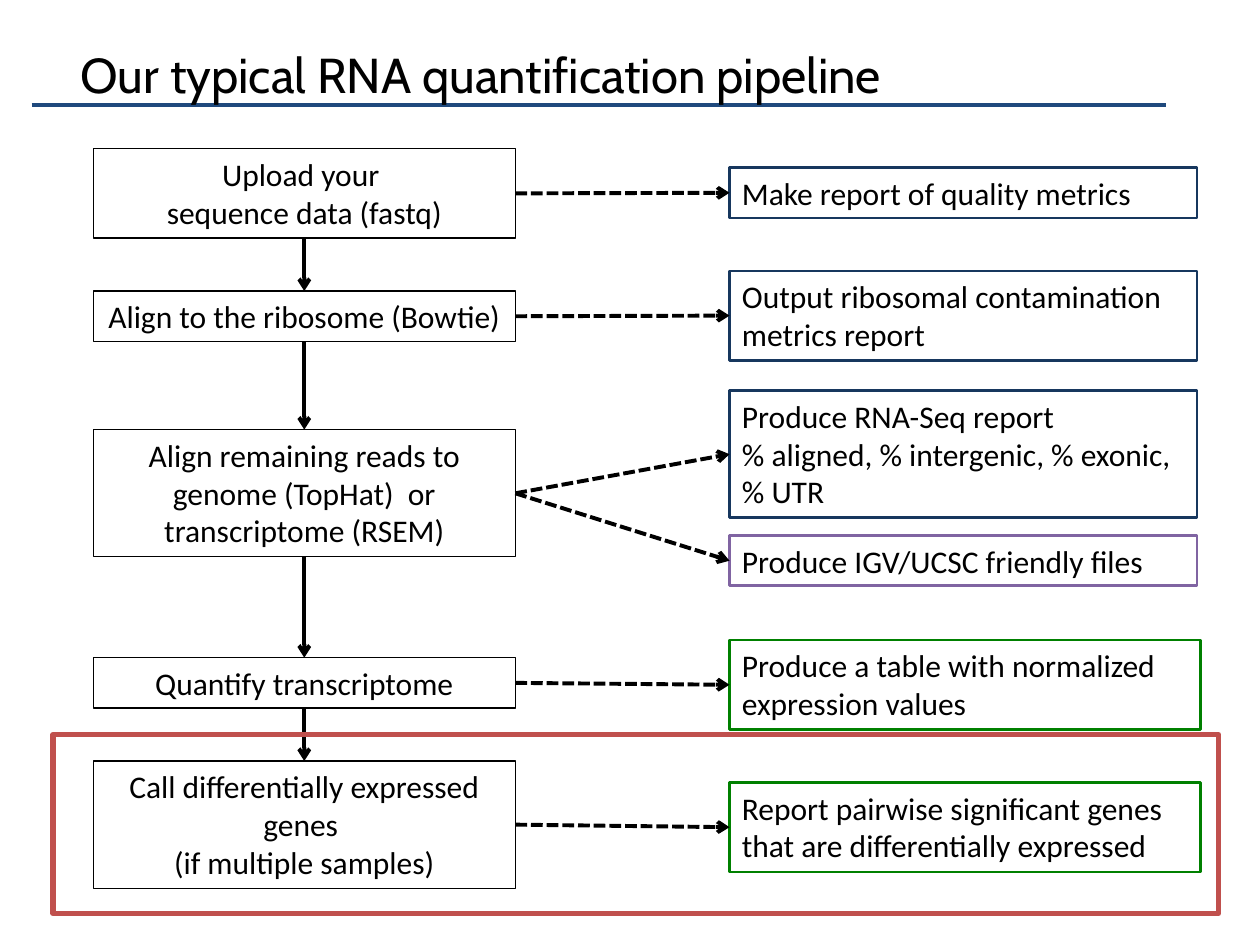
"""Build a slide that shows an RNA quantification pipeline as a flow chart."""
from lxml.etree import SubElement
from pptx import Presentation
from pptx.dml.color import RGBColor
from pptx.enum.dml import MSO_LINE
from pptx.enum.shapes import MSO_CONNECTOR, MSO_SHAPE
from pptx.enum.text import MSO_ANCHOR, MSO_AUTO_SIZE, PP_ALIGN
from pptx.oxml.ns import qn
from pptx.util import Inches, Pt

TITLE = "Our typical RNA quantification pipeline"
STEPS = [
    ("upload", 1.18, 2, "Upload your \nsequence data (fastq)"),
    ("ribosome", 2.31, 1, "Align to the ribosome (Bowtie)"),
    ("genome", 3.41, 3, "Align remaining reads to genome (TopHat)  or transcriptome (RSEM)"),
    ("quantify", 5.22, 1, "Quantify transcriptome"),
    ("call", 6.04, 3, "Call differentially expressed genes \n(if multiple samples)"),
]
OUTPUTS = [
    ("upload", 1.33, 1, "report", "Make report of quality metrics"),
    ("ribosome", 2.15, 2, "report", "Output ribosomal contamination metrics report"),
    ("genome", 3.1, 3, "report", "Produce RNA-Seq report\n% aligned, % intergenic, % exonic, % UTR"),
    ("genome", 4.25, 1, "files", "Produce IGV/UCSC friendly files"),
    ("quantify", 5.08, 2, "table", "Produce a table with normalized expression values"),
    ("call", 6.21, 2, "table", "Report pairwise significant genes that are differentially expressed"),
]
THEME = {
    "text": "000000", "rule": "1F497D", "step": "000000", "report": "17375E",
    "files": "8064A2", "table": "008000", "highlight": "C0504D", "arrow": "000000",
    "title_font": "Cabin", "title_size": 28, "body_font": "Calibri", "body_size": 18,
}
STEP_LEFT, STEP_WIDTH = 0.74, 3.35
OUTPUT_LEFT = 5.79
OUTPUT_WIDTHS = {"report": 3.71, "files": 3.71, "table": 3.74}
HEIGHTS = {1: 0.4, 2: 0.71, 3: 1.01}
TOP, LEFT, BOTTOM, RIGHT = range(4)


def color(name):
    return RGBColor.from_string(THEME[name])


def write(shape, text, kind, align=PP_ALIGN.LEFT):
    text_frame = shape.text_frame
    text_frame.text = text
    text_frame.word_wrap = True
    for paragraph in text_frame.paragraphs:
        paragraph.alignment = align
        for run in paragraph.runs:
            run.font.name = THEME[f"{kind}_font"]
            run.font.size = Pt(THEME[f"{kind}_size"])
            run.font.color.rgb = color("text")
    return text_frame


def add_frame(slide, left, top, width, height, line_color, line_width):
    shape = slide.shapes.add_shape(
        MSO_SHAPE.RECTANGLE, Inches(left), Inches(top), Inches(width), Inches(height))
    shape.shadow.inherit = False
    shape.fill.background()
    shape.line.color.rgb = color(line_color)
    shape.line.width = Pt(line_width)
    return shape


def add_box(slide, left, top, width, lines, text, line_color, line_width, align):
    shape = add_frame(slide, left, top, width, HEIGHTS[lines], line_color, line_width)
    text_frame = write(shape, text, "body", align)
    text_frame.vertical_anchor = MSO_ANCHOR.TOP
    text_frame.auto_size = MSO_AUTO_SIZE.SHAPE_TO_FIT_TEXT
    return shape


def add_line(slide, line_color, start=(0, 0), end=(0, 0)):
    line = slide.shapes.add_connector(
        MSO_CONNECTOR.STRAIGHT, *(Inches(value) for value in (*start, *end)))
    line.line.color.rgb = color(line_color)
    line.line.width = Pt(2.25)
    SubElement(line._element.spPr, qn("a:effectLst"))
    return line


def add_arrow(slide, source, source_side, target, target_side, dashed=False):
    arrow = add_line(slide, "arrow")
    arrow.begin_connect(source, source_side)
    arrow.end_connect(target, target_side)
    if dashed:
        arrow.line.dash_style = MSO_LINE.SQUARE_DOT
    SubElement(arrow.line._get_or_add_ln(), qn("a:tailEnd"), type="arrow")


def main():
    presentation = Presentation()
    presentation.slide_width, presentation.slide_height = Inches(10), Inches(7.5)
    slide = presentation.slides.add_slide(presentation.slide_layouts[6])

    add_line(slide, "rule", (0.25, 0.83), (9.25, 0.83))
    title = slide.shapes.add_textbox(Inches(0.54), Inches(0.22), Inches(9), Inches(0.73))
    write(title, TITLE, "title").vertical_anchor = MSO_ANCHOR.MIDDLE

    steps = {
        name: add_box(slide, STEP_LEFT, top, STEP_WIDTH, lines, text, "step", 0.75, PP_ALIGN.CENTER)
        for name, top, lines, text in STEPS
    }
    steps["ribosome"].text_frame.word_wrap = False
    outputs = [
        (name, add_box(slide, OUTPUT_LEFT, top, OUTPUT_WIDTHS[kind], lines, text, kind, 1.5, PP_ALIGN.LEFT))
        for name, top, lines, kind, text in OUTPUTS
    ]

    chain = list(steps.values())
    for source, target in zip(chain, chain[1:]):
        add_arrow(slide, source, BOTTOM, target, TOP)
    for name, output in outputs:
        add_arrow(slide, steps[name], RIGHT, output, LEFT, dashed=True)

    add_frame(slide, 0.42, 5.83, 9.25, 1.42, "highlight", 3)
    presentation.save("out.pptx")


if __name__ == "__main__":
    main()
